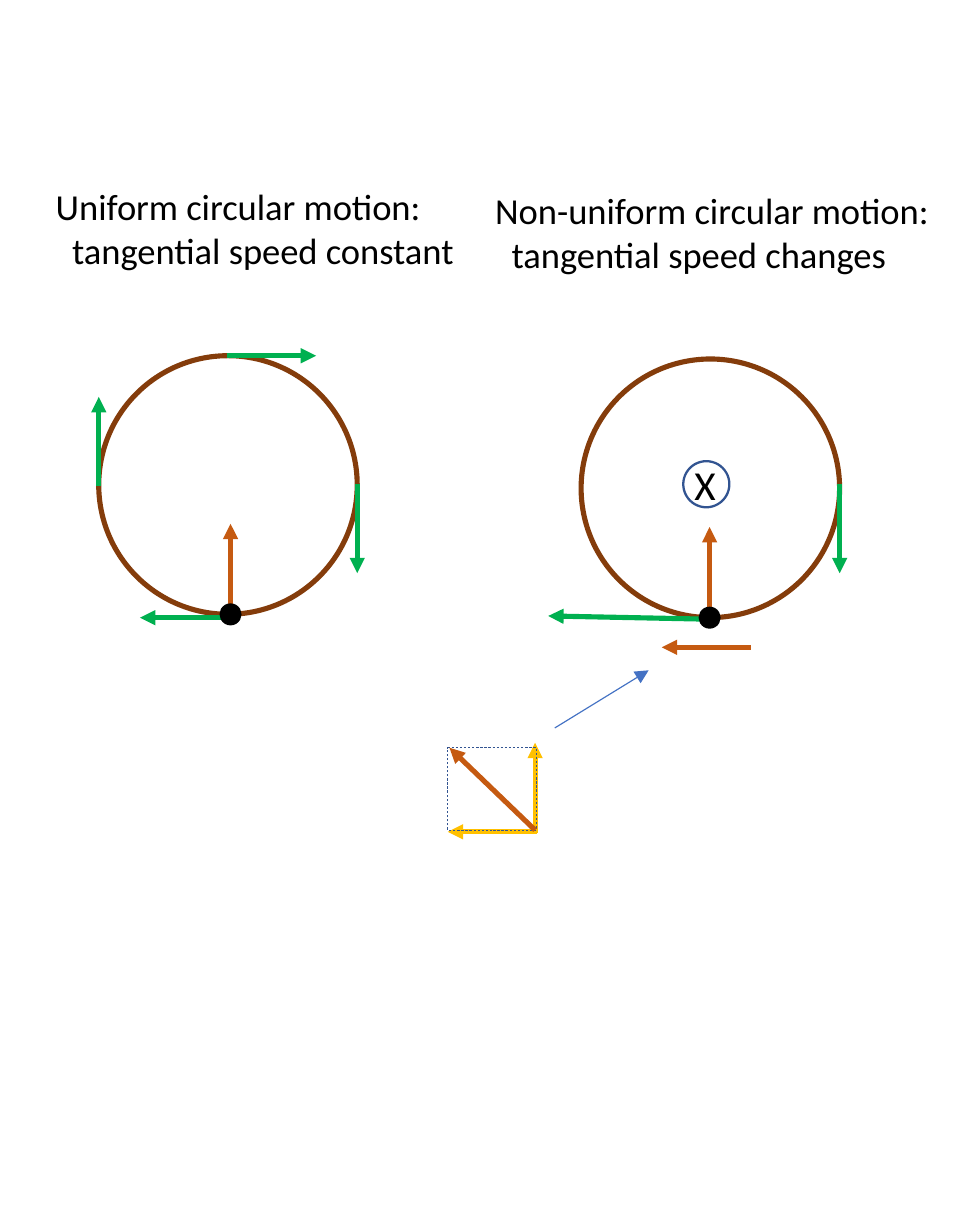
from lxml.etree import SubElement
from pptx import Presentation
from pptx.dml.color import RGBColor
from pptx.enum.dml import MSO_LINE
from pptx.enum.shapes import MSO_CONNECTOR, MSO_SHAPE
from pptx.enum.text import MSO_ANCHOR, MSO_AUTO_SIZE, PP_ALIGN
from pptx.oxml.ns import qn
from pptx.util import Inches, Pt

BLACK = RGBColor(0x00, 0x00, 0x00)
WHITE = RGBColor(0xFF, 0xFF, 0xFF)
BROWN = RGBColor(0x84, 0x3C, 0x0B)
GREEN = RGBColor(0x00, 0xB0, 0x50)
ORANGE = RGBColor(0xC5, 0x5A, 0x11)
YELLOW = RGBColor(0xFF, 0xC0, 0x00)
NAVY = RGBColor(0x32, 0x54, 0x91)
BLUE = RGBColor(0x44, 0x72, 0xC4)

DIAMETER = 1.57
BODY = 0.12
ARROW = 0.54


def add_outline(shapes, kind, box, color, weight, fill=None):
    shape = shapes.add_shape(kind, *map(Inches, box))
    shape.shadow.inherit = False
    if fill is None:
        shape.fill.background()
    else:
        shape.fill.solid()
        shape.fill.fore_color.rgb = fill
    shape.line.color.rgb = color
    shape.line.width = Pt(weight)
    return shape


def add_arrow(shapes, origin, start, end, color, weight=2.25):
    """Draw an arrow whose ends are measured from origin."""
    left, top = origin
    ends = (left + start[0], top + start[1], left + end[0], top + end[1])
    arrow = shapes.add_connector(MSO_CONNECTOR.STRAIGHT, *map(Inches, ends))
    arrow.line.color.rgb = color
    arrow.line.width = Pt(weight)
    SubElement(arrow.line._get_or_add_ln(), qn("a:tailEnd"), type="triangle")
    SubElement(arrow._element.spPr, qn("a:effectLst"))


def add_text(shapes, box, lines, size, align=PP_ALIGN.LEFT):
    """Write one paragraph per line, indenting all but the first."""
    frame = shapes.add_textbox(*map(Inches, box)).text_frame
    frame.word_wrap = False
    frame.auto_size = MSO_AUTO_SIZE.SHAPE_TO_FIT_TEXT
    frame.vertical_anchor = MSO_ANCHOR.TOP
    for index, line in enumerate(lines):
        para = frame.add_paragraph() if index else frame.paragraphs[0]
        para.text = line
        para.alignment = align
        if index:
            para._p.get_or_add_pPr().set("marL", str(Inches(0.1)))
        para.font.name = "Calibri"
        para.font.size = Pt(size)
        para.font.color.rgb = BLACK


def add_orbit(shapes, origin, body_x, side_y, velocities):
    """Draw a circle, its velocity arrows and the body at its foot."""
    left, top = origin
    add_outline(shapes, MSO_SHAPE.OVAL, (left, top, DIAMETER, DIAMETER), BROWN, 2.25)
    side = ((DIAMETER, side_y), (DIAMETER, side_y + ARROW))
    for start, end in [side, *velocities]:
        add_arrow(shapes, origin, start, end, GREEN)
    add_arrow(shapes, origin, (body_x, 1.56), (body_x, 1.56 - ARROW), ORANGE)
    body = (left + body_x - BODY / 2, top + DIAMETER - BODY / 2, BODY, BODY)
    add_outline(shapes, MSO_SHAPE.OVAL, body, BLACK, 1, BLACK)


def add_uniform_motion(shapes, left, top):
    add_text(shapes, (left, top, 2.65, 0.64),
             ["Uniform circular motion:", "tangential speed constant"], 16)
    add_orbit(shapes, (left + 0.36, top + 1.09), 0.8, 0.78, [
        ((0.78, 0), (0.78 + ARROW, 0)),
        ((0, 0.79), (0, 0.79 - ARROW)),
        ((0.79, 1.59), (0.79 - ARROW, 1.59)),
    ])


def add_into_page_symbol(shapes, left, top):
    group = shapes.add_group_shape()
    add_outline(group.shapes, MSO_SHAPE.OVAL, (left, top, 0.28, 0.28), NAVY, 1, WHITE)
    add_text(group.shapes, (left - 0.03, top - 0.06, 0.33, 0.4), ["X"], 18)


def add_nonuniform_motion(shapes, left, top):
    add_text(shapes, (left, top, 2.9, 0.64),
             ["Non-uniform circular motion:", "tangential speed changes"], 16)
    origin = (left + 0.62, top + 1.09)
    add_orbit(shapes, origin, 0.78, 0.76, [((0.8, 1.58), (-0.2, 1.56))])
    add_into_page_symbol(shapes, left + 1.24, top + 1.71)
    add_arrow(shapes, origin, (1.03, 1.75), (1.03 - ARROW, 1.75), ORANGE)


def add_resultant(shapes, left, top):
    """Draw two components, their dashed box and their resultant."""
    width, height = ARROW, 0.5
    origin = (left, top)
    add_arrow(shapes, origin, (width, 0.51), (0, 0.51), YELLOW)
    add_arrow(shapes, origin, (0.53, 0.52), (0.53, -0.03), YELLOW)
    frame = add_outline(shapes, MSO_SHAPE.RECTANGLE, (left, top, width, height), NAVY, 0.25)
    frame.line.dash_style = MSO_LINE.DASH
    add_arrow(shapes, origin, (0.53, height), (0.01, 0), ORANGE)
    add_arrow(shapes, origin, (0.65, -0.12), (1.22, -0.47), BLUE, 0.5)


def main():
    deck = Presentation()
    deck.slide_width, deck.slide_height = Inches(5.91), Inches(7.48)
    page = deck.slides.add_slide(deck.slide_layouts[6])
    add_uniform_motion(page.shapes, 0.24, 1.07)
    add_nonuniform_motion(page.shapes, 2.91, 1.09)
    add_resultant(page.shapes, 2.72, 4.54)
    deck.save("out.pptx")


if __name__ == "__main__":
    main()
